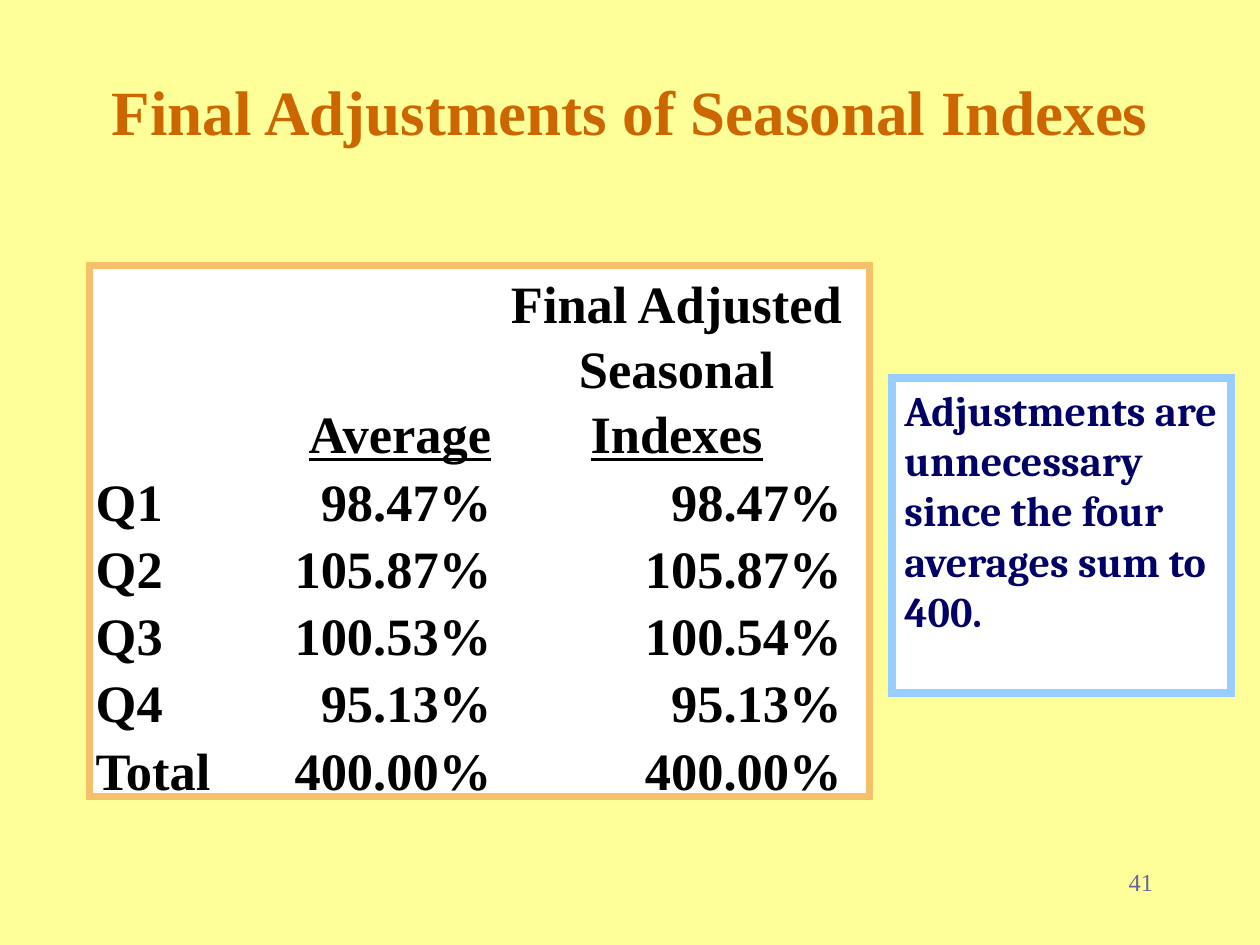
from dataclasses import dataclass

from lxml import etree
from pptx import Presentation
from pptx.dml.color import RGBColor
from pptx.enum.shapes import MSO_SHAPE
from pptx.enum.text import MSO_ANCHOR, PP_ALIGN
from pptx.oxml.ns import qn
from pptx.util import Inches, Pt

RECT = MSO_SHAPE.RECTANGLE
LEFT, CENTER, RIGHT = PP_ALIGN.LEFT, PP_ALIGN.CENTER, PP_ALIGN.RIGHT
TOP, MIDDLE, BOTTOM = MSO_ANCHOR.TOP, MSO_ANCHOR.MIDDLE, MSO_ANCHOR.BOTTOM
NO_GRID_STYLE = "{2D5ABB26-0587-4C30-8999-92F81FD0307C}"


@dataclass(frozen=True)
class Theme:
    background: str = "FFFF99"
    panel: str = "FFFFFF"
    title: str = "CC6600"
    body: str = "000000"
    note: str = "000066"
    number: str = "666699"
    table_frame: str = "F6BF69"
    note_frame: str = "99CCFF"
    serif: str = "Times New Roman"
    note_font: str = "Cambria"
    title_size: int = 36
    table_size: int = 30
    note_size: int = 24
    number_size: int = 14


THEME = Theme()

HEADERS = [[], ["Average"], ["Final Adjusted", "Seasonal", "Indexes"]]
INDEXES = [
    ("Q1", "98.47%", "98.47%"),
    ("Q2", "105.87%", "105.87%"),
    ("Q3", "100.53%", "100.54%"),
    ("Q4", "95.13%", "95.13%"),
    ("Total", "400.00%", "400.00%"),
]


def add_run(p, text, size, color, font=THEME.serif, bold=True, underline=False):
    r = p.add_run()
    r.text = text
    r.font.name = font
    r.font.size = Pt(size)
    r.font.bold = bold
    r.font.underline = underline
    r.font.color.rgb = RGBColor.from_string(color)


def add_text(slide, box, align, anchor):
    """Add a wrapping text box and return its first paragraph."""
    tf = slide.shapes.add_textbox(*map(Inches, box)).text_frame
    tf.word_wrap = True
    tf.vertical_anchor = anchor
    p = tf.paragraphs[0]
    p.alignment = align
    return p


def add_panel(slide, box, line_color, line_width):
    sp = slide.shapes.add_shape(RECT, *map(Inches, box))
    sp.shadow.inherit = False
    sp.fill.solid()
    sp.fill.fore_color.rgb = RGBColor.from_string(THEME.panel)
    sp.line.color.rgb = RGBColor.from_string(line_color)
    sp.line.width = Pt(line_width)
    # Square corners on the frame
    line = sp.element.spPr.find(qn("a:ln"))
    etree.SubElement(line, qn("a:miter")).set("lim", "800000")
    return sp


def add_title(slide, box):
    p = add_text(slide, box, CENTER, MIDDLE)
    add_run(p, "Final Adjustments of Seasonal Indexes", THEME.title_size, THEME.title)


def fill_cell(cell, lines, align, right_margin=0, header=False):
    cell.margin_left = cell.margin_top = cell.margin_bottom = 0
    cell.margin_right = Inches(right_margin)
    cell.vertical_anchor = BOTTOM
    cell.fill.background()
    tf = cell.text_frame
    # An empty cell must not make its row taller
    tf.paragraphs[0].font.size = Pt(THEME.table_size)
    for i, line in enumerate(lines):
        p = tf.add_paragraph() if i else tf.paragraphs[0]
        p.alignment = align
        p.space_before = Pt(4 if i else 0)
        add_run(p, line, THEME.table_size, THEME.body,
                underline=header and i == len(lines) - 1)


def add_index_table(slide, box):
    add_panel(slide, box, THEME.table_frame, 4)
    left, top, _, height = box
    widths = [1.33, 1.81, 2.94]
    header_height = 1.54
    # The rows start and end a little above the frame, clear of its lower line
    table_top = top - 0.03
    row_height = (height - header_height) / len(INDEXES)

    frame = slide.shapes.add_table(
        len(INDEXES) + 1, len(widths), Inches(left + 0.05), Inches(table_top),
        Inches(sum(widths)), Inches(height))
    table = frame.table
    table.first_row = table.horz_banding = False
    table._tbl.tblPr[0].text = NO_GRID_STYLE
    for column, width in zip(table.columns, widths):
        column.width = Inches(width)
    for i, row in enumerate(table.rows):
        row.height = Inches(row_height if i else header_height)

    # Column headings
    for c, (lines, align) in enumerate(zip(HEADERS, (LEFT, RIGHT, CENTER))):
        fill_cell(table.cell(0, c), lines, align, header=True)
    # Quarters and total
    for r, values in enumerate(INDEXES, start=1):
        for c, (value, margin) in enumerate(zip(values, (0, 0, 0.16))):
            fill_cell(table.cell(r, c), [value], RIGHT if c else LEFT, margin)


def add_note(slide, box):
    tf = add_panel(slide, box, THEME.note_frame, 4.5).text_frame
    tf.word_wrap = True
    tf.vertical_anchor = TOP
    p = tf.paragraphs[0]
    p.alignment = LEFT
    add_run(p, "Adjustments are unnecessary since the four averages sum to 400.",
            THEME.note_size, THEME.note, THEME.note_font)


def add_slide_number(slide, box):
    p = add_text(slide, box, RIGHT, TOP)
    p.space_before = Pt(8.8)
    add_run(p, "41", THEME.number_size, THEME.number, bold=False)


def main():
    prs = Presentation()
    prs.slide_width, prs.slide_height = Inches(10), Inches(7.5)
    slide = prs.slides.add_slide(prs.slide_layouts[6])
    fill = slide.background.fill
    fill.solid()
    fill.fore_color.rgb = RGBColor.from_string(THEME.background)

    add_title(slide, (0.75, 0.25, 8.5, 1.25))
    add_index_table(slide, (0.71, 2.11, 6.19, 4.21))
    add_note(slide, (7.08, 3, 2.69, 2.5))
    add_slide_number(slide, (8.42, 6.83, 0.83, 0.5))
    prs.save("out.pptx")


if __name__ == "__main__":
    main()
